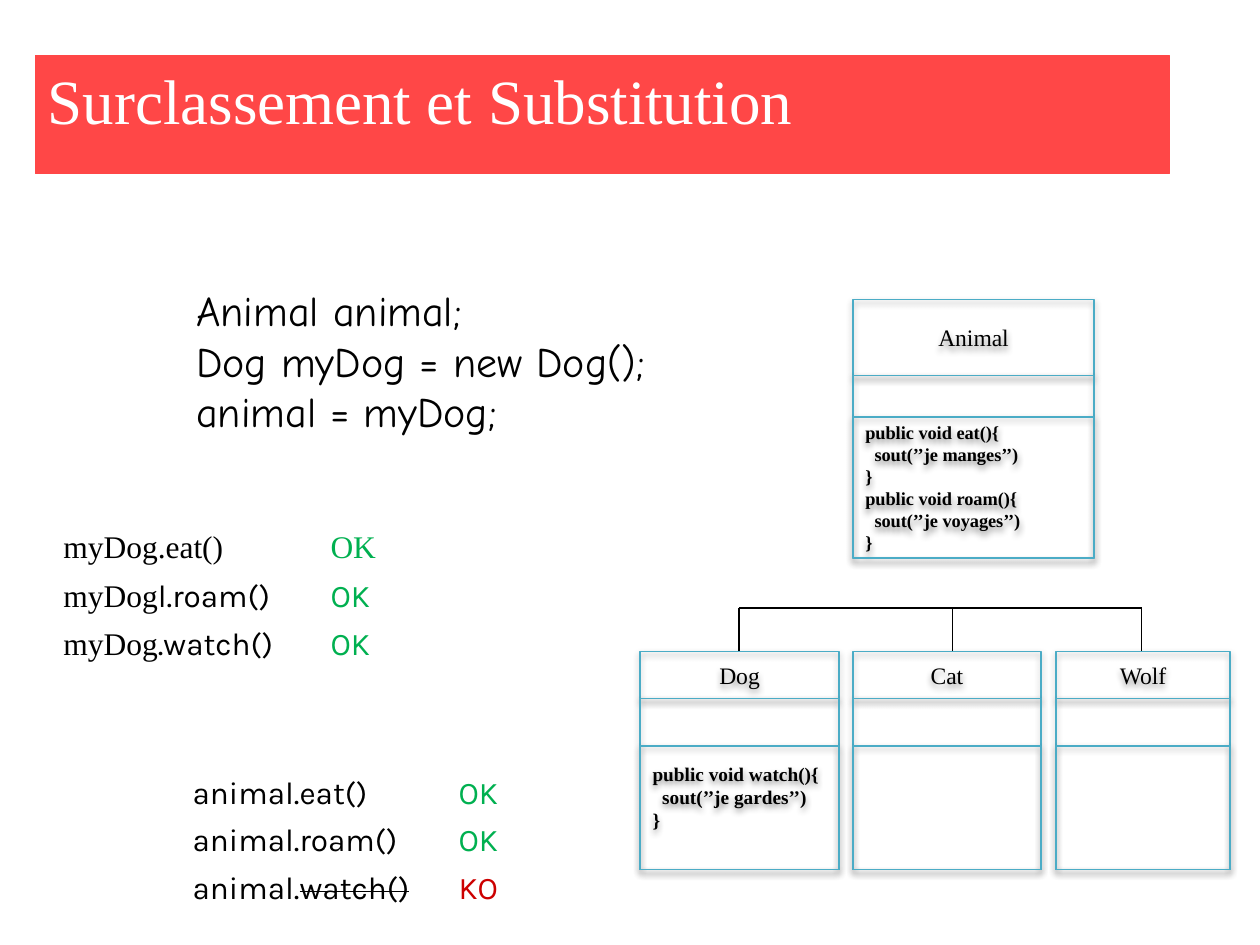
from lxml.etree import SubElement
from pptx import Presentation
from pptx.dml.color import RGBColor
from pptx.enum.shapes import MSO_CONNECTOR, MSO_SHAPE
from pptx.enum.text import MSO_ANCHOR, PP_ALIGN
from pptx.oxml.ns import qn
from pptx.util import Pt

SERIF, SANS, HAND = "Times New Roman", "Karla", "Comic Neue"
BLACK, WHITE, RED, BLUE = "000000", "FFFFFF", "FF4747", "4BACC6"
GREEN, DARK_RED = "00B050", "CC0000"


def color(value):
    return RGBColor.from_string(value)


def add_text(para, text, font=SERIF, size=18, fill=BLACK, bold=False, strike=False):
    span = para.add_run()
    span.text = text
    span.font.name = font
    span.font.size = Pt(size)
    span.font.bold = bold
    span.font.color.rgb = color(fill)
    if strike:
        span.font._element.set("strike", "sngStrike")


def add_lines(frame, lines, align=PP_ALIGN.LEFT, **style):
    """Write one paragraph per line; leading spaces become an indent."""
    for index, line in enumerate(lines):
        para = frame.add_paragraph() if index else frame.paragraphs[0]
        para.alignment = align
        code = line.lstrip()
        depth = len(line) - len(code)
        if depth:
            para._p.get_or_add_pPr().set("marL", str(Pt(depth * style["size"] / 4)))
        add_text(para, code, **style)


class SlideBuilder:
    line_width = 0.75

    def __init__(self, slide):
        self.shapes = slide.shapes

    def rectangle(self, left, top, width, height, line, fill=None):
        box = self.shapes.add_shape(
            MSO_SHAPE.RECTANGLE, Pt(left), Pt(top), Pt(width), Pt(height))
        box.shadow.inherit = False
        if fill:
            box.fill.solid()
            box.fill.fore_color.rgb = color(fill)
        else:
            box.fill.background()
        box.line.color.rgb = color(line)
        box.line.width = Pt(self.line_width)
        box.text_frame.word_wrap = True
        return box

    def title(self, text, left, top, width, height):
        box = self.rectangle(left, top, width, height, RED, RED)
        box.text_frame.vertical_anchor = MSO_ANCHOR.TOP
        add_lines(box.text_frame, [text], size=36, fill=WHITE)

    def compartment(self, left, top, width, height):
        box = self.rectangle(left, top, width, height, BLUE)
        effects = box._element.spPr.find(qn("a:effectLst"))
        shadow = SubElement(effects, qn("a:outerShdw"), blurRad=str(Pt(4)),
                            dist=str(Pt(2)), dir="5400000", rotWithShape="0")
        shade = SubElement(shadow, qn("a:srgbClr"), val=BLACK)
        SubElement(shade, qn("a:alpha"), val="44000")
        box.text_frame.vertical_anchor = MSO_ANCHOR.MIDDLE
        return box

    def uml_class(self, name, left, top, width, heights, methods=(), size=11, bottom=3.6):
        name_height, field_height, method_height = heights
        header = self.compartment(left, top, width, name_height)
        add_lines(header.text_frame, [name], align=PP_ALIGN.CENTER, size=13.5)
        top += name_height
        self.compartment(left, top, width, field_height + method_height)
        body = self.compartment(left, top + field_height, width, method_height)
        body.text_frame.margin_bottom = Pt(bottom)
        add_lines(body.text_frame, methods, size=size, bold=True)

    def line(self, start_x, start_y, end_x, end_y):
        connector = self.shapes.add_connector(
            MSO_CONNECTOR.STRAIGHT, Pt(start_x), Pt(start_y), Pt(end_x), Pt(end_y))
        connector.line.color.rgb = color(BLACK)
        connector.line.width = Pt(self.line_width)
        SubElement(connector._element.spPr, qn("a:effectLst"))

    def code(self, lines, left, top, width, height):
        box = self.shapes.add_textbox(Pt(left), Pt(top), Pt(width), Pt(height))
        box.text_frame.word_wrap = False
        add_lines(box.text_frame, lines, font=HAND, size=24)

    def table(self, rows, left, top, widths, row_height=26.9):
        """Each cell is a list of (text, format) pairs."""
        frame = self.shapes.add_table(len(rows), len(widths), Pt(left), Pt(top),
                                      Pt(sum(widths)), Pt(row_height * len(rows)))
        table = frame.table
        table.first_row = table.horz_banding = False
        for column, width in zip(table.columns, widths):
            column.width = Pt(width)
        for row, contents in zip(table.rows, rows):
            row.height = Pt(row_height)
            for cell, spans in zip(row.cells, contents):
                cell.fill.background()
                cell.margin_left = cell.margin_right = Pt(5)
                cell.margin_top = cell.margin_bottom = Pt(2.9)
                for text, style in spans:
                    add_text(cell.text_frame.paragraphs[0], text, **style)


def main():
    deck = Presentation()
    deck.slide_width, deck.slide_height = Pt(720), Pt(540)
    page = SlideBuilder(deck.slides.add_slide(deck.slide_layouts[6]))

    page.title("Surclassement et Substitution", 20.2, 31.7, 648, 67.7)

    # Inheritance lines
    bar_y, child_top = 347.5, 372.3
    stems = (422.3, 544.5, 652.5)
    page.line(stems[0], bar_y, stems[-1], bar_y)
    for stem in stems:
        page.line(stem, bar_y, stem, child_top)

    # Class diagram
    child_heights = (27, 27, 70.5)
    page.uml_class("Dog", 365.8, child_top, 113.6, child_heights,
                   ["public void watch(){", "  sout(’’je gardes’’)", "}"], bottom=16.2)
    page.uml_class("Wolf", 603.5, child_top, 99.5, child_heights)
    page.uml_class("Cat", 487.4, child_top, 107.5, child_heights)
    page.uml_class("Animal", 487.4, 171.2, 137.8, (43.3, 23.8, 80.6),
                   ["public void eat(){", "  sout(’’je manges’’)", "}",
                    "public void roam(){", "  sout(’’je voyages’’)", "}"], size=10.5)

    # Sample code
    page.code(["Animal animal;", "Dog myDog = new Dog();", "animal = myDog;"],
              105.1, 159.1, 283.7, 94.3)

    # Calls and their results
    sans = dict(font=SANS)
    sans_ok = [("OK", dict(font=SANS, fill=GREEN))]
    page.table([
        ([("animal.eat()", sans)], sans_ok),
        ([("animal.roam()", sans)], sans_ok),
        ([("animal.", sans), ("watch()", dict(font=SANS, strike=True))],
         [("KO", dict(font=SANS, fill=DARK_RED))]),
    ], 105.1, 440, (152, 58.5))
    page.table([
        ([("myDog.eat()", {})], [("OK", dict(fill=GREEN))]),
        ([("myDog", {}), ("l.roam()", sans)], sans_ok),
        ([("myDog", {}), (".watch()", sans)], sans_ok),
    ], 31.2, 300.2, (152.7, 46))

    deck.save("out.pptx")


if __name__ == "__main__":
    main()
